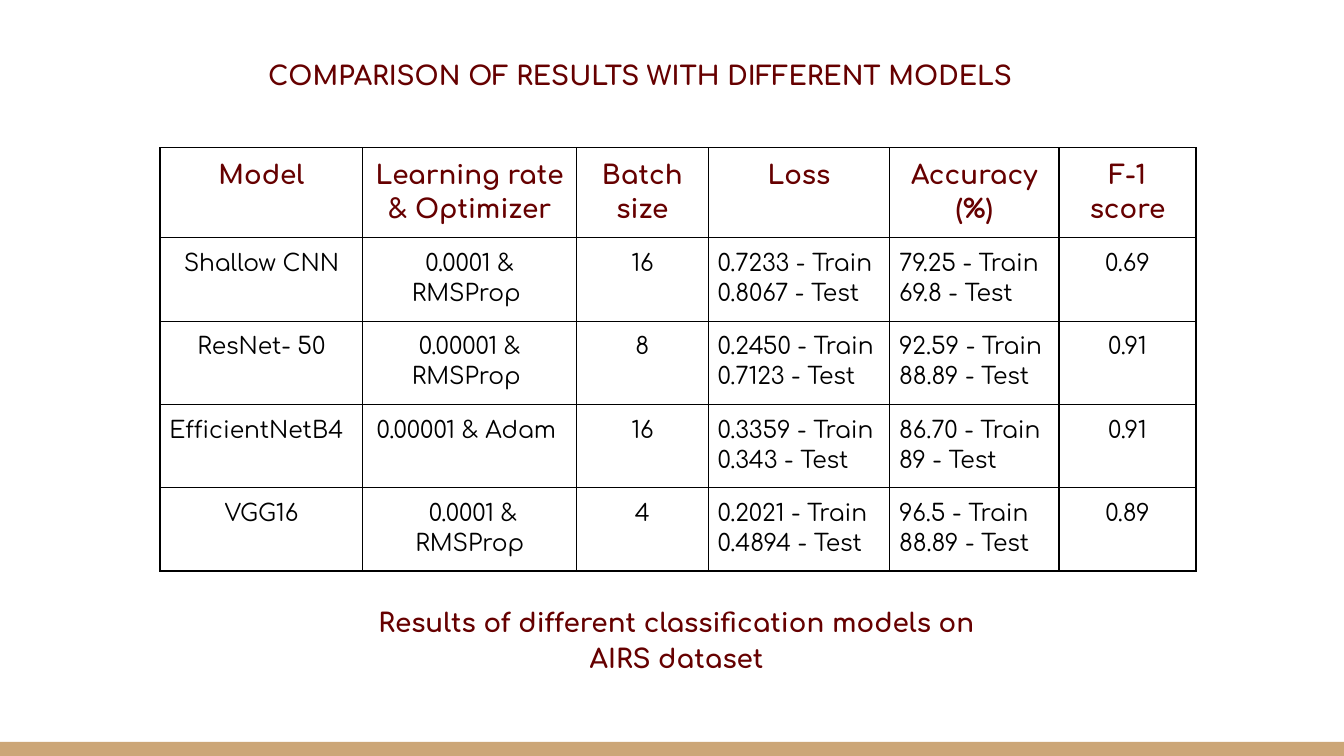
from lxml.etree import SubElement
from pptx import Presentation
from pptx.dml.color import RGBColor
from pptx.enum.shapes import MSO_SHAPE
from pptx.enum.text import MSO_ANCHOR, PP_ALIGN
from pptx.oxml.ns import qn
from pptx.util import Inches, Pt

COLORS = {"wine": "660000", "black": "000000", "tan": "CCA677"}
FONT = "Comfortaa"
COLS = [1.51, 1.59, 0.98, 1.35, 1.26, 1.02]
ROWS = [0.67] + [0.62] * 4
HEAD = ["Model", "Learning rate & Optimizer", "Batch size", "Loss",
        "Accuracy\n(%)", "F-1 score"]
BODY = [
    ["Shallow CNN", "0.0001 & RMSProp ", "16",
     "0.7233 - Train\n0.8067 - Test", "79.25 - Train\n69.8 - Test", "0.69"],
    ["ResNet- 50", "0.00001 & RMSProp ", "8",
     "0.2450 - Train\n0.7123 - Test", "92.59 - Train\n88.89 - Test", "0.91"],
    ["EfficientNetB4", "0.00001 & Adam ", "16",
     "0.3359 - Train\n0.343 - Test", "86.70 - Train\n89 - Test", "0.91"],
    ["VGG16", " 0.0001 & RMSProp", "4",
     "0.2021 - Train\n0.4894 - Test", "96.5 - Train\n88.89 - Test", "0.89"],
]


def rgb(name):
    return RGBColor.from_string(COLORS[name])


def write(frame, text, size=14, color="wine", bold=True,
          align=PP_ALIGN.CENTER, space=1.15):
    """Fill a text frame, one paragraph per line of text."""
    frame.text = text
    for para in frame.paragraphs:
        para.alignment = align
        para.line_spacing = space
        for run in para.runs:
            font = run.font
            font.name, font.size, font.bold = FONT, Pt(size), bold
            font.color.rgb = rgb(color)


def add_text(slide, box, text, anchor=MSO_ANCHOR.TOP, **style):
    frame = slide.shapes.add_textbox(*map(Inches, box)).text_frame
    frame.word_wrap = True
    frame.vertical_anchor = anchor
    frame.margin_left = frame.margin_right = Inches(0.1)
    frame.margin_top = frame.margin_bottom = Inches(0.1)
    write(frame, text, **style)


def add_bar(slide, box, color):
    bar = slide.shapes.add_shape(MSO_SHAPE.RECTANGLE, *map(Inches, box))
    bar.shadow.inherit = False
    bar.fill.solid()
    bar.fill.fore_color.rgb = rgb(color)
    bar.line.fill.background()


def set_edges(cell):
    """Draw a thin black line on all four sides of a cell."""
    props = cell._tc.get_or_add_tcPr()
    for place, side in enumerate(("lnL", "lnR", "lnT", "lnB")):
        line = SubElement(props, qn(f"a:{side}"), w=str(Pt(0.75)))
        fill = SubElement(line, qn("a:solidFill"))
        SubElement(fill, qn("a:srgbClr"), val=COLORS["black"])
        props.insert(place, line)


def add_grid(slide, left, top):
    frame = slide.shapes.add_table(
        len(ROWS), len(COLS), Inches(left), Inches(top),
        Inches(sum(COLS)), Inches(sum(ROWS)))
    table = frame.table
    table.horz_banding = False
    for col, width in zip(table.columns, COLS):
        col.width = Inches(width)
    for row, height in zip(table.rows, ROWS):
        row.height = Inches(height)
    for r, texts in enumerate([HEAD] + BODY):
        for c, text in enumerate(texts):
            cell = table.cell(r, c)
            cell.margin_left = cell.margin_right = Inches(0.07)
            cell.margin_top = cell.margin_bottom = Inches(0.07)
            cell.fill.background()
            set_edges(cell)
            if r == 0:
                write(cell.text_frame, text)
            else:
                flush = "\n" in text or text == "EfficientNetB4"
                write(cell.text_frame, text, size=12.5, color="black",
                      bold=False,
                      align=PP_ALIGN.LEFT if flush else PP_ALIGN.CENTER)


def main():
    deck = Presentation()
    deck.slide_width = Inches(10)
    deck.slide_height = Inches(10 * 9 / 16)
    slide = deck.slides.add_slide(deck.slide_layouts[6])
    add_bar(slide, (0, 5.52, 10, 0.11), "tan")
    add_grid(slide, 1.19, 1.1)
    add_text(slide, (2.5, 4.48, 5.07, 0.53),
             "Results of different classification models on AIRS dataset",
             anchor=MSO_ANCHOR.MIDDLE)
    add_text(slide, (1.53, 0.34, 6.47, 0.44),
             "COMPARISON OF RESULTS WITH DIFFERENT MODELS", space=1.0)
    deck.save("out.pptx")


if __name__ == "__main__":
    main()
